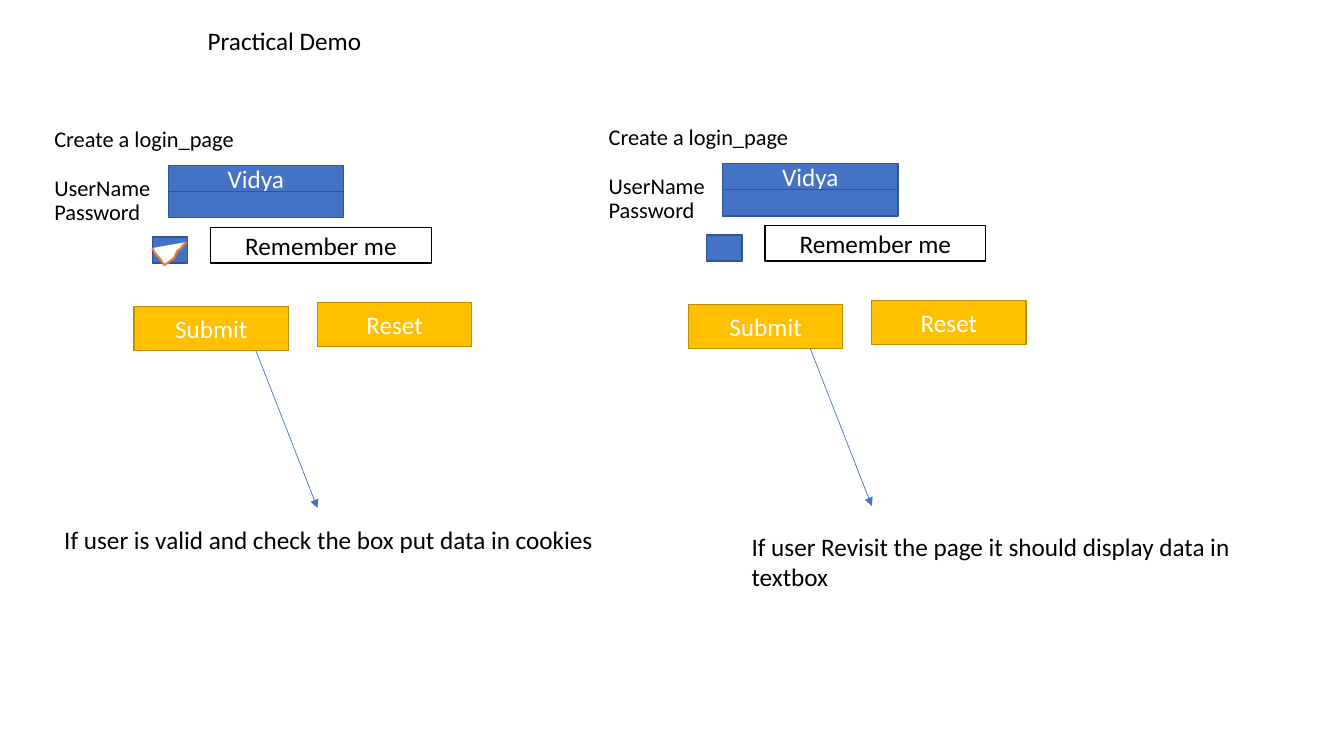
"""Build the practical demo slide with two login forms."""
from dataclasses import dataclass
from typing import Any

from lxml.etree import SubElement
from pptx import Presentation
from pptx.dml.color import RGBColor
from pptx.enum.shapes import MSO_CONNECTOR, MSO_SHAPE
from pptx.enum.text import MSO_ANCHOR, MSO_AUTO_SIZE, PP_ALIGN
from pptx.oxml.ns import qn
from pptx.util import Cm, Pt

BLACK, WHITE, BLUE, BLUE_EDGE = "000000", "FFFFFF", "4472C4", "325491"
GOLD, GOLD_EDGE, ORANGE = "FFC000", "BD8E00", "ED7D31"


@dataclass(frozen=True)
class Control:
    left: float
    top: float
    width: float
    height: float
    label: str = ""
    fill: str = BLUE
    edge: str = BLUE_EDGE
    ink: str = WHITE


@dataclass(frozen=True)
class LoginPanel:
    dx: float
    dy: float
    checked: bool
    note: str
    note_left: float
    note_top: float
    note_height: float


FORM_LINES = ["Create a login_page", "UserName", "Password"]
BLANK_LINE = Pt(17.6)
CONTROLS = [
    Control(4.24, 4.17, 4.42, 0.66, "Vidya"),
    Control(4.24, 4.83, 4.42, 0.66),
    Control(3.84, 5.97, 0.89, 0.66),
    Control(3.38, 7.72, 3.89, 1.12, "Submit", GOLD, GOLD_EDGE),
    Control(8.0, 7.62, 3.89, 1.12, "Reset", GOLD, GOLD_EDGE),
    Control(5.31, 5.74, 5.56, 0.89, "Remember me", WHITE, BLACK, BLACK),
]
ARROW = (6.45, 8.84, 8.0, 12.8)
TICK = [(3.84, 6.25), (3.91, 6.38), (4.04, 6.53), (4.14, 6.68), (4.22, 6.63),
        (4.39, 6.5), (4.47, 6.32), (4.55, 6.27), (4.6, 6.2), (4.7, 6.1)]
PANELS = [
    LoginPanel(0, 0, True,
               "If user is valid and check the box put data in cookies",
               1.37, 13.08, 1.02),
    LoginPanel(13.97, -0.05, False,
               "If user Revisit the page it should display data in textbox",
               18.69, 13.26, 1.8),
]


def colour(hex_code: str) -> RGBColor:
    """Turn a hex string into a colour."""
    return RGBColor.from_string(hex_code)


def apply(target: Any, values: dict[str, Any]) -> None:
    """Set every attribute named in the format values."""
    for name, value in values.items():
        setattr(target, name, value)


def write(shape: Any, lines: list[str], ink: str = BLACK, size: int = 18,
          frame: dict[str, Any] | None = None,
          paragraph: dict[str, Any] | None = None) -> None:
    """Fill a shape with formatted paragraphs."""
    text_frame = shape.text_frame
    apply(text_frame, {"word_wrap": True, "auto_size": MSO_AUTO_SIZE.NONE,
                       "vertical_anchor": MSO_ANCHOR.TOP} | (frame or {}))
    text_frame.text = "\n".join(lines)
    for line in text_frame.paragraphs:
        apply(line, {"alignment": PP_ALIGN.LEFT, "line_spacing": 1.0,
                     "space_before": Pt(0)} | (paragraph or {}))
        apply(line.font, {"name": "Calibri", "size": Pt(size)})
        line.font.color.rgb = colour(ink)


def paint(shape: Any, fill: str, edge: str, weight: float) -> None:
    """Give a shape a flat fill and an outline."""
    shape.shadow.inherit = False
    shape.fill.solid()
    shape.fill.fore_color.rgb = colour(fill)
    shape.line.color.rgb = colour(edge)
    shape.line.width = Pt(weight)


def add_text(slide: Any, left: float, top: float, width: float,
             height: float) -> Any:
    """Add an empty text box."""
    return slide.shapes.add_textbox(Cm(left), Cm(top), Cm(width), Cm(height))


def add_control(slide: Any, control: Control, panel: LoginPanel) -> None:
    """Draw one field, button or check box of a panel."""
    box = slide.shapes.add_shape(
        MSO_SHAPE.RECTANGLE, Cm(control.left + panel.dx),
        Cm(control.top + panel.dy), Cm(control.width), Cm(control.height))
    paint(box, control.fill, control.edge, 1)
    if control.label:
        write(box, [control.label], control.ink,
              frame={"vertical_anchor": MSO_ANCHOR.MIDDLE},
              paragraph={"alignment": PP_ALIGN.CENTER})


def add_arrow(slide: Any, panel: LoginPanel) -> None:
    """Draw the arrow from the submit button to the note."""
    x1, y1, x2, y2 = ARROW
    arrow = slide.shapes.add_connector(
        MSO_CONNECTOR.STRAIGHT, Cm(x1 + panel.dx), Cm(y1 + panel.dy),
        Cm(x2 + panel.dx), Cm(y2 + panel.dy))
    arrow.line.color.rgb = colour(BLUE)
    arrow.line.width = Pt(0.5)
    properties = arrow._element.spPr
    SubElement(properties.find(qn("a:ln")), qn("a:tailEnd"), type="triangle")
    SubElement(properties, qn("a:effectLst"))


def add_tick(slide: Any) -> None:
    """Draw the hand-made tick in the check box."""
    start, *rest = [(Cm(x), Cm(y)) for x, y in TICK]
    outline = slide.shapes.build_freeform(*start)
    outline.add_line_segments(rest, close=False)
    paint(outline.convert_to_shape(), WHITE, ORANGE, 1.5)


def add_panel(slide: Any, panel: LoginPanel) -> None:
    """Draw a login form with its arrow and note."""
    form = add_text(slide, 1.12 + panel.dx, 1.02 + panel.dy, 15.8, 10.01)
    write(form, FORM_LINES, size=16, frame={"margin_top": Cm(2.21)},
          paragraph={"line_spacing": 0.9})
    form.text_frame.paragraphs[1].space_before = BLANK_LINE
    for control in CONTROLS:
        add_control(slide, control, panel)
    add_arrow(slide, panel)
    note = add_text(slide, panel.note_left, panel.note_top, 14.6,
                    panel.note_height)
    write(note, [panel.note])
    if panel.checked:
        add_tick(slide)


def main() -> None:
    """Build and save the slide."""
    deck = Presentation()
    apply(deck, {"slide_width": Cm(33.87), "slide_height": Cm(19.05)})
    slide = deck.slides.add_slide(deck.slide_layouts[5])
    heading = slide.shapes.title
    apply(heading, {"left": Cm(4.98), "top": Cm(0.51),
                    "width": Cm(22.35), "height": Cm(1.02)})
    write(heading, ["Practical Demo"])
    for panel in PANELS:
        add_panel(slide, panel)
    deck.save("out.pptx")


if __name__ == "__main__":
    main()
